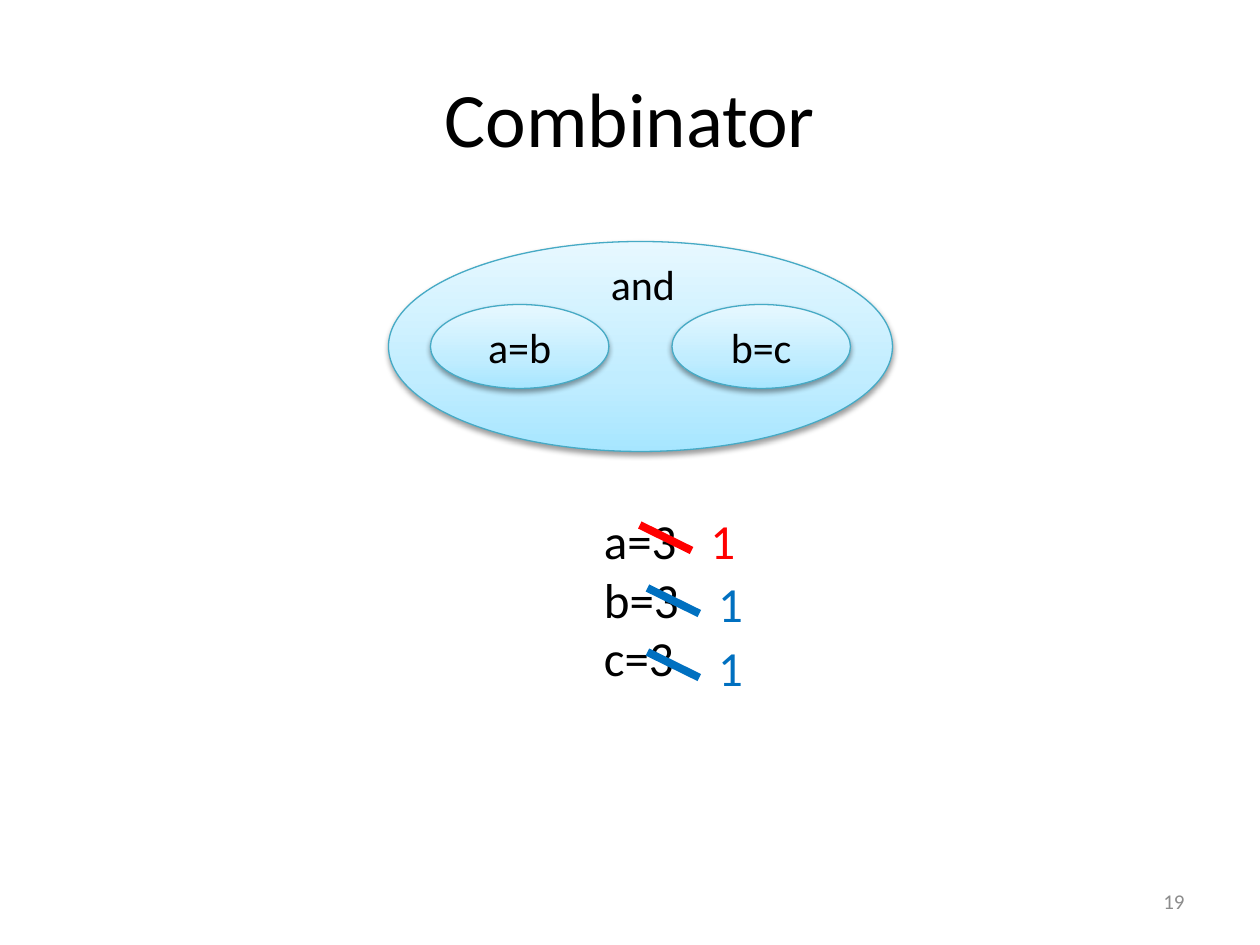
"""Build the Combinator slide: nested constraints above their variable updates."""
from copy import deepcopy

from lxml import etree
from pptx import Presentation
from pptx.dml.color import RGBColor
from pptx.enum.shapes import MSO_CONNECTOR, MSO_SHAPE
from pptx.enum.text import MSO_ANCHOR, PP_ALIGN
from pptx.oxml import parse_xml
from pptx.oxml.ns import nsdecls, qn
from pptx.util import Pt

OVAL, STRAIGHT = MSO_SHAPE.OVAL, MSO_CONNECTOR.STRAIGHT
LEFT, CENTER, RIGHT = PP_ALIGN.LEFT, PP_ALIGN.CENTER, PP_ALIGN.RIGHT
TOP, MIDDLE = MSO_ANCHOR.TOP, MSO_ANCHOR.MIDDLE
COLORS = {"black": "000000", "gray": "8C8C8C", "outline": "46AAC5",
          "red": "FF0000", "blue": "0070C0"}
GRADIENT = [(0, "A7E6FF"), (0.35, "C1EDFF"), (1, "E7F8FF")]
SHADOW = (f'<a:outerShdw {nsdecls("a")} blurRad="39370" dist="20320" dir="5400000" '
          'rotWithShape="0"><a:srgbClr val="000000"><a:alpha val="38000"/>'
          '</a:srgbClr></a:outerShdw>')


def write(shape, lines, size, color="black", align=LEFT, anchor=TOP, wrap=True):
    frame = shape.text_frame
    frame.text = "\n".join(lines)
    frame.word_wrap = wrap
    frame.vertical_anchor = anchor
    for para in frame.paragraphs:
        para.alignment = align
        para.font.name = "Calibri"
        para.font.size = Pt(size)
        para.font.color.rgb = RGBColor.from_string(COLORS[color])


def add_oval(page, left, top, width, height):
    oval = page.shapes.add_shape(OVAL, Pt(left), Pt(top), Pt(width), Pt(height))
    oval.fill.gradient()
    oval.fill.gradient_angle = 90
    properties = oval._element.spPr
    stops = properties.find(".//" + qn("a:gsLst"))
    stops.append(deepcopy(stops[0]))
    for stop, (position, color) in zip(oval.fill.gradient_stops, GRADIENT):
        stop.position = position
        stop.color.rgb = RGBColor.from_string(color)
    oval.line.color.rgb = RGBColor.from_string(COLORS["outline"])
    oval.line.width = Pt(0.75)
    oval.shadow.inherit = False
    properties.find(qn("a:effectLst")).append(parse_xml(SHADOW))
    return oval


deck = Presentation()
deck.slide_width, deck.slide_height = Pt(720), Pt(540)
page = deck.slides.add_slide(deck.slide_layouts[5])

title = page.shapes.title
title.left, title.top, title.width, title.height = Pt(36), Pt(21.6), Pt(648), Pt(90)
write(title, ["Combinator"], 44, align=CENTER, anchor=MIDDLE)

add_oval(page, 222, 138, 288, 120)
for left, constraint in [(246, "a=b"), (384, "b=c")]:
    write(add_oval(page, left, 174, 102, 48), [constraint], 24,
          align=CENTER, anchor=MIDDLE, wrap=False)

operator = page.shapes.add_textbox(Pt(342), Pt(144), Pt(52), Pt(36))
write(operator, ["and"], 24, wrap=False)
variables = page.shapes.add_textbox(Pt(338), Pt(288), Pt(58), Pt(109))
write(variables, ["a=3", "b=3", "c=3"], 28, wrap=False)

for left, top, color in [(365.6, 288, "red"), (370, 324, "blue"), (370, 360.6, "blue")]:
    strike = page.shapes.add_connector(
        STRAIGHT, Pt(left), Pt(top + 12), Pt(left + 29.6), Pt(top + 26.6))
    strike.line.color.rgb = RGBColor.from_string(COLORS[color])
    strike.line.width = Pt(4.5)
    etree.SubElement(strike._element.spPr, qn("a:effectLst"))
    new_value = page.shapes.add_textbox(Pt(left + 33.2), Pt(top), Pt(29), Pt(41))
    write(new_value, ["1"], 28, color, wrap=False)

number = page.shapes.add_textbox(Pt(516), Pt(500.5), Pt(168), Pt(28.75))
write(number, ["19"], 12, "gray", RIGHT, MIDDLE)

deck.save("out.pptx")
